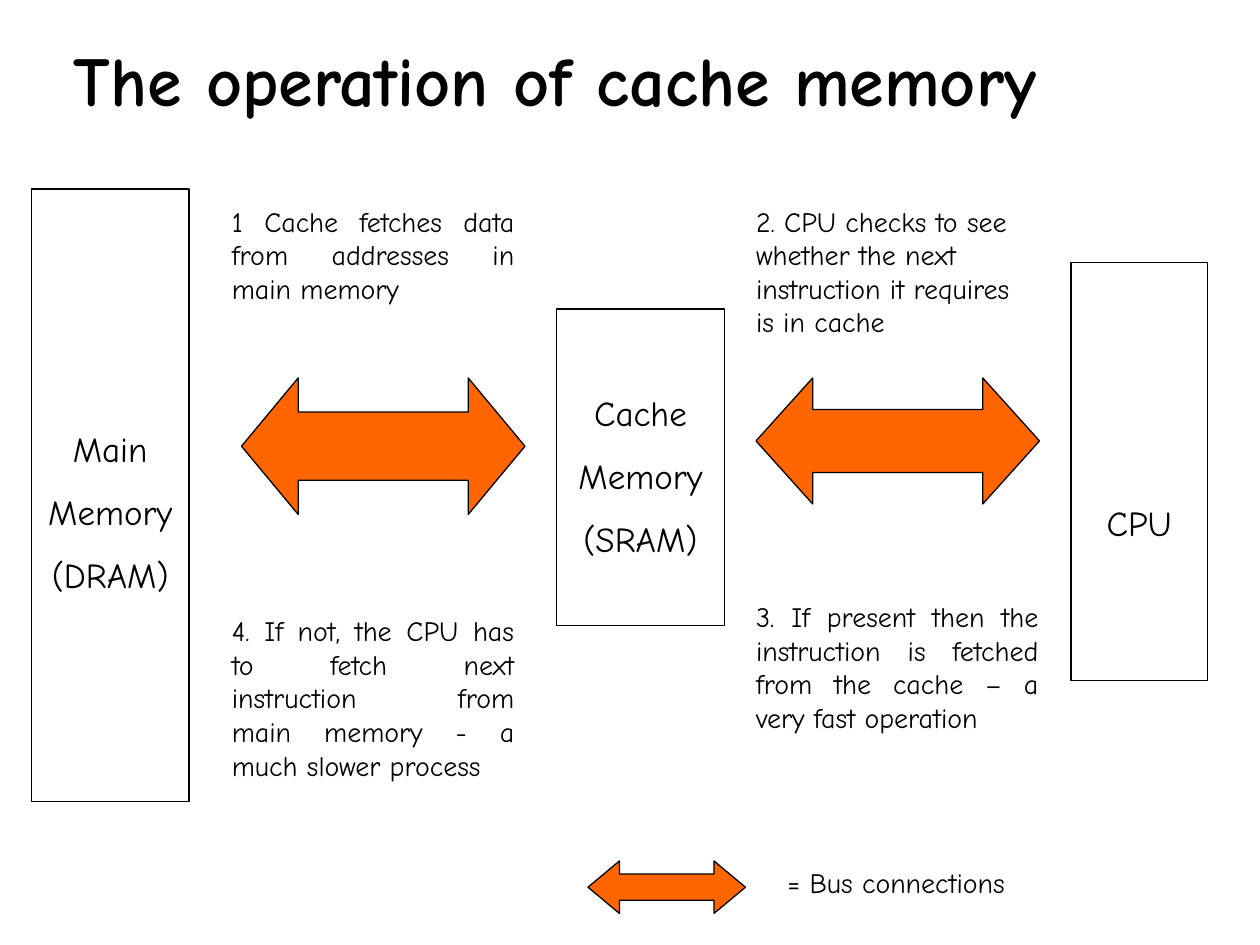
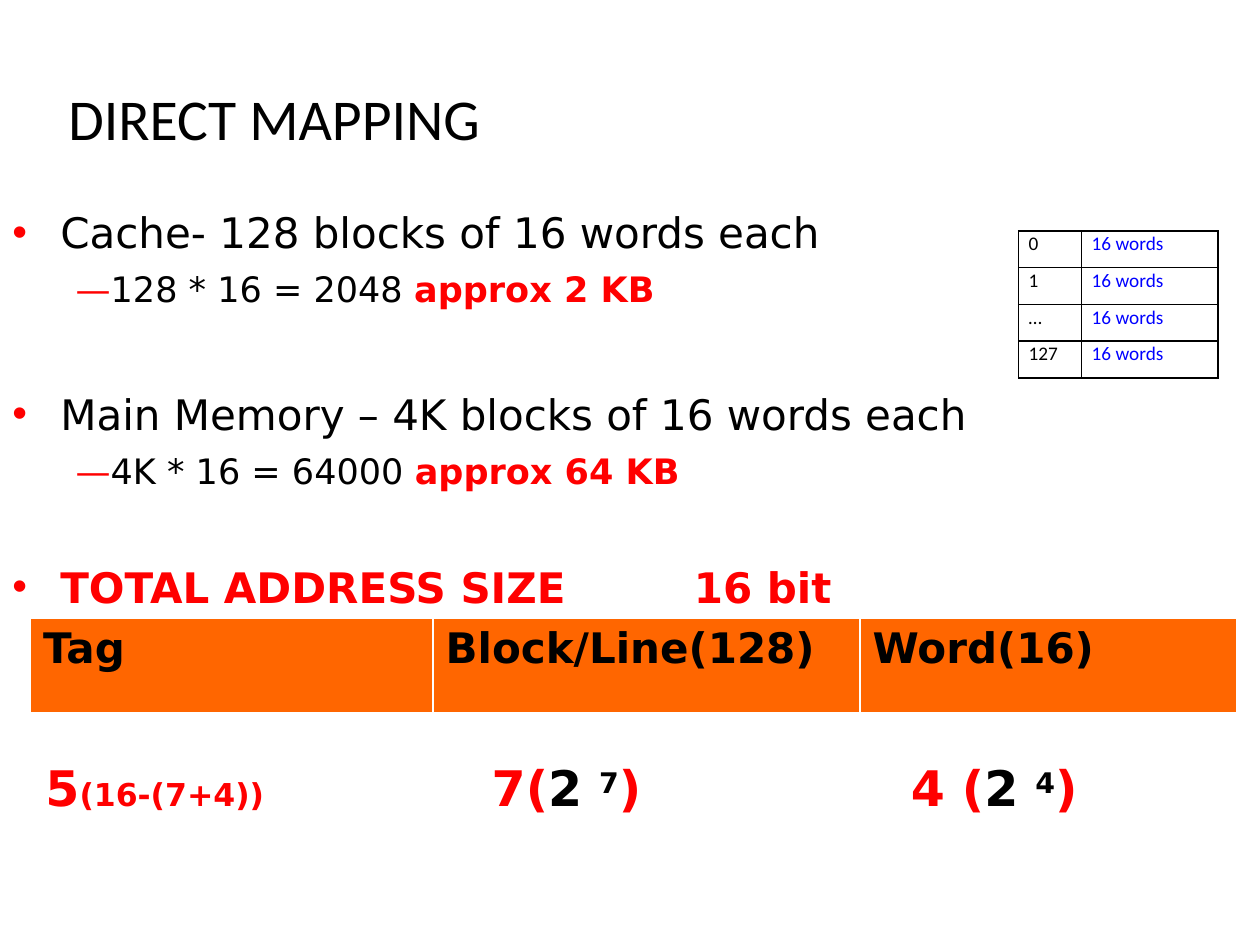
from dataclasses import dataclass

from lxml import etree
from pptx import Presentation
from pptx.dml.color import RGBColor
from pptx.enum.shapes import MSO_SHAPE
from pptx.enum.text import MSO_ANCHOR, MSO_AUTO_SIZE, PP_ALIGN
from pptx.oxml.ns import qn
from pptx.util import Pt

RECT, ARROW = MSO_SHAPE.RECTANGLE, MSO_SHAPE.LEFT_RIGHT_ARROW
TOP, MIDDLE = MSO_ANCHOR.TOP, MSO_ANCHOR.MIDDLE
LEFT, CENTER, JUSTIFY = PP_ALIGN.LEFT, PP_ALIGN.CENTER, PP_ALIGN.JUSTIFY
NO_FIT = MSO_AUTO_SIZE.NONE
TITLE_ONLY, TITLE_AND_BODY = 5, 1
SIDES = ("L", "R", "T", "B")


@dataclass(frozen=True)
class Theme:
    black: str = "000000"
    white: str = "FFFFFF"
    red: str = "FF0000"
    blue: str = "0000FF"
    orange: str = "FF6600"
    hand: str = "Comic Neue"
    plain: str = "Calibri"
    wide: str = "DejaVu Sans"
    hero: int = 40
    title: int = 33
    result: int = 28
    item: int = 24
    label: int = 20
    detail: int = 18
    note: int = 16
    cell: int = 11
    line: float = 0.75


T = Theme()


@dataclass(frozen=True)
class Style:
    font: str
    size: int
    color: str = T.black
    bold: bool = False
    baseline: int = 0


class Deck:
    def __init__(self):
        self.prs = Presentation()
        self.prs.slide_width, self.prs.slide_height = Pt(720), Pt(540)
        self.s = None

    def slide(self, layout):
        self.s = self.prs.slides.add_slide(self.prs.slide_layouts[layout])

    def frame(self, sp, anchor=TOP, top=0.7, bottom=0):
        tf = sp.text_frame
        tf.word_wrap, tf.auto_size = True, NO_FIT
        tf.vertical_anchor = anchor
        tf.margin_left = tf.margin_right = 0
        tf.margin_top, tf.margin_bottom = Pt(top), Pt(bottom)
        return tf

    def add_runs(self, p, *runs, align=LEFT, before=0, spacing=1.0):
        """Fill a paragraph with (text, style) runs; a newline is a line break."""
        p.alignment, p.line_spacing = align, spacing
        p.space_before, p.space_after = Pt(before), Pt(0)
        for text, style in runs:
            for i, line in enumerate(text.split("\n")):
                if i:
                    p.add_line_break()
                r = p.add_run()
                r.text = line
                r.font.name, r.font.size = style.font, Pt(style.size)
                r.font.bold = style.bold
                r.font.color.rgb = RGBColor.from_string(style.color)
                if style.baseline:
                    r._r.get_or_add_rPr().set("baseline", str(style.baseline))

    def place(self, sp, x, y, w, h):
        sp.left, sp.top, sp.width, sp.height = Pt(x), Pt(y), Pt(w), Pt(h)

    def title(self, text, style, *box):
        sp = self.s.shapes.title
        self.place(sp, *box)
        self.add_runs(self.frame(sp, MIDDLE).paragraphs[0], (text, style))

    def text(self, x, y, w, h, *runs, align=LEFT):
        sp = self.s.shapes.add_textbox(Pt(x), Pt(y), Pt(w), Pt(h))
        self.add_runs(self.frame(sp).paragraphs[0], *runs, align=align)

    def shape(self, kind, x, y, w, h, fill=None):
        sp = self.s.shapes.add_shape(kind, Pt(x), Pt(y), Pt(w), Pt(h))
        sp.shadow.inherit = False
        sp.line.color.rgb = RGBColor.from_string(T.black)
        sp.line.width = Pt(T.line)
        if fill:
            sp.fill.solid()
            sp.fill.fore_color.rgb = RGBColor.from_string(fill)
        else:
            sp.fill.background()
        return sp

    def unit(self, text, *box, top=0, bottom=0, spacing=1.0):
        sp = self.shape(RECT, *box)
        tf = self.frame(sp, MIDDLE, top, bottom)
        self.add_runs(tf.paragraphs[0], (text, Style(T.hand, T.label)),
                      align=CENTER, spacing=spacing)

    def bus(self, x, y, w, h):
        sp = self.shape(ARROW, x, y, w, h, T.orange)
        sp.adjustments[0], sp.adjustments[1] = 0.5, 0.2 * w / h

    def bullets(self, items, *box):
        """Items are (level, space before, tab stops, runs)."""
        sp = self.s.placeholders[1]
        self.place(sp, *box)
        tf = self.frame(sp, top=10)
        for i, (level, before, tabs, runs) in enumerate(items):
            p = tf.add_paragraph() if i else tf.paragraphs[0]
            p.level = level
            self.add_runs(p, *runs, before=before)
            pPr = p._p.get_or_add_pPr()
            margin, indent = (Pt(36.7), 0) if level else (Pt(28), Pt(-27.4))
            pPr.set("marL", str(margin))
            pPr.set("indent", str(indent))
            if level:
                etree.SubElement(pPr, qn("a:buNone"))
                continue
            clr = etree.SubElement(pPr, qn("a:buClr"))
            etree.SubElement(clr, qn("a:srgbClr"), val=T.red)
            etree.SubElement(pPr, qn("a:buChar"), char="•")
            lst = etree.SubElement(pPr, qn("a:tabLst"))
            for pos in tabs:
                etree.SubElement(lst, qn("a:tab"), pos=str(Pt(pos)), algn="l")

    def table(self, x, y, widths, row_h, rows, styles, border, margins, fill=None):
        """Each column has its own style; margins are (left, top)."""
        gf = self.s.shapes.add_table(len(rows), len(widths), Pt(x), Pt(y),
                                     Pt(sum(widths)), Pt(row_h * len(rows)))
        tbl = gf.table
        tbl.first_row = tbl.horz_banding = False
        for col, w in zip(tbl.columns, widths):
            col.width = Pt(w)
        for row, values in zip(tbl.rows, rows):
            row.height = Pt(row_h)
            for cell, value, style in zip(row.cells, values, styles):
                cell.margin_left, cell.margin_top = Pt(margins[0]), Pt(margins[1])
                cell.margin_right = cell.margin_bottom = 0
                self.add_runs(cell.text_frame.paragraphs[0], (value, style))
                self.borders(cell, border)
                if fill:
                    cell.fill.solid()
                    cell.fill.fore_color.rgb = RGBColor.from_string(fill)
                else:
                    cell.fill.background()

    def borders(self, cell, color):
        tcPr = cell._tc.get_or_add_tcPr()
        for side in SIDES:
            ln = etree.SubElement(tcPr, qn(f"a:ln{side}"), w=str(Pt(1)))
            fill = etree.SubElement(ln, qn("a:solidFill"))
            etree.SubElement(fill, qn("a:srgbClr"), val=color)


def cache_operation(d):
    d.slide(TITLE_ONLY)
    d.title("The operation of cache memory",
            Style(T.hand, T.hero, bold=True), 42, 19.5, 672, 50)

    note = Style(T.hand, T.note)
    left_x, right_x, note_w = 132.5, 432, 161.5
    notes = [
        (left_x, 116, 60, JUSTIFY,
         "1 Cache fetches data\nfrom addresses in\nmain memory"),
        (right_x, 116, 78, LEFT,
         "2. CPU checks to see\nwhether the next\ninstruction it requires\nis in cache"),
        (right_x, 342, 98, JUSTIFY,
         "3. If present then the\ninstruction is fetched\nfrom the cache – a\nvery fast operation"),
        (left_x, 350, 98, JUSTIFY,
         "4. If not, the CPU has\nto fetch next\ninstruction from\n"
         "main memory - a\nmuch slower process"),
    ]
    for x, y, h, align, text in notes:
        d.text(x, y, note_w, h, (text, note), align=align)

    d.unit("Main\nMemory\n(DRAM)", 18, 108, 90, 350, top=6, spacing=1.5)
    d.unit("CPU", 612, 150, 78, 239, top=58)
    d.unit("Cache\nMemory\n(SRAM)", 318, 176.5, 96, 181, bottom=3, spacing=1.5)

    for box in ((138, 216, 162, 78), (432, 216, 162, 72), (336, 492, 90, 30)):
        d.bus(*box)
    d.text(450, 494, 133, 21, ("= Bus connections", note))


def direct_mapping(d):
    d.slide(TITLE_AND_BODY)
    d.title("DIRECT MAPPING", Style(T.plain, T.title), 39, 38, 526, 57)

    item, sub = Style(T.wide, T.item), Style(T.wide, T.label)
    dash = Style(T.wide, T.label, T.red)
    approx = Style(T.wide, T.label, T.red, True)
    total = Style(T.wide, T.item, T.red, True)
    d.bullets([
        (0, 0, [28], [("Cache- 128 blocks of 16 words each", item)]),
        (1, 6, [], [("—", dash), ("128 * 16 = 2048 ", sub), ("approx 2 KB", approx)]),
        (0, 45, [28], [("Main Memory – 4K blocks of 16 words each", item)]),
        (1, 6, [], [("—", dash), ("4K * 16 = 64000 ", sub), ("approx 64 KB", approx)]),
        (0, 40, [28, 390], [("TOTAL ADDRESS SIZE\t16 bit", total)]),
    ], 6.5, 108, 642, 244)

    bits = Style(T.wide, T.result, T.red, True)
    base = Style(T.wide, T.result, T.black, True)
    power = Style(T.wide, T.result, T.black, True, 26000)
    detail = Style(T.wide, T.detail, T.red, True)
    d.text(26, 432, 137, 35, ("5", bits), ("(16-(7+4))", detail))
    for x, opening, exponent in ((281, "7(", "7"), (520.5, "4 (", "4")):
        d.text(x, 432, 109, 35, (opening, bits), ("2 ", base),
               (exponent, power), (")", bits))

    head = Style(T.wide, T.item, bold=True)
    d.table(17.5, 353.5, [230, 244, 215.5], 53.5,
            [["Tag", "Block/Line(128)", "Word(16)"]], [head] * 3,
            T.white, (7.2, 3.6), T.orange)
    d.table(582, 132, [36, 78], 21,
            [[n, "16 words"] for n in ("0", "1", "…", "127")],
            [Style(T.plain, T.cell), Style(T.plain, T.cell, T.blue)],
            T.black, (5.8, 0.7))


def main():
    d = Deck()
    cache_operation(d)
    direct_mapping(d)
    d.prs.save("out.pptx")


if __name__ == "__main__":
    main()
